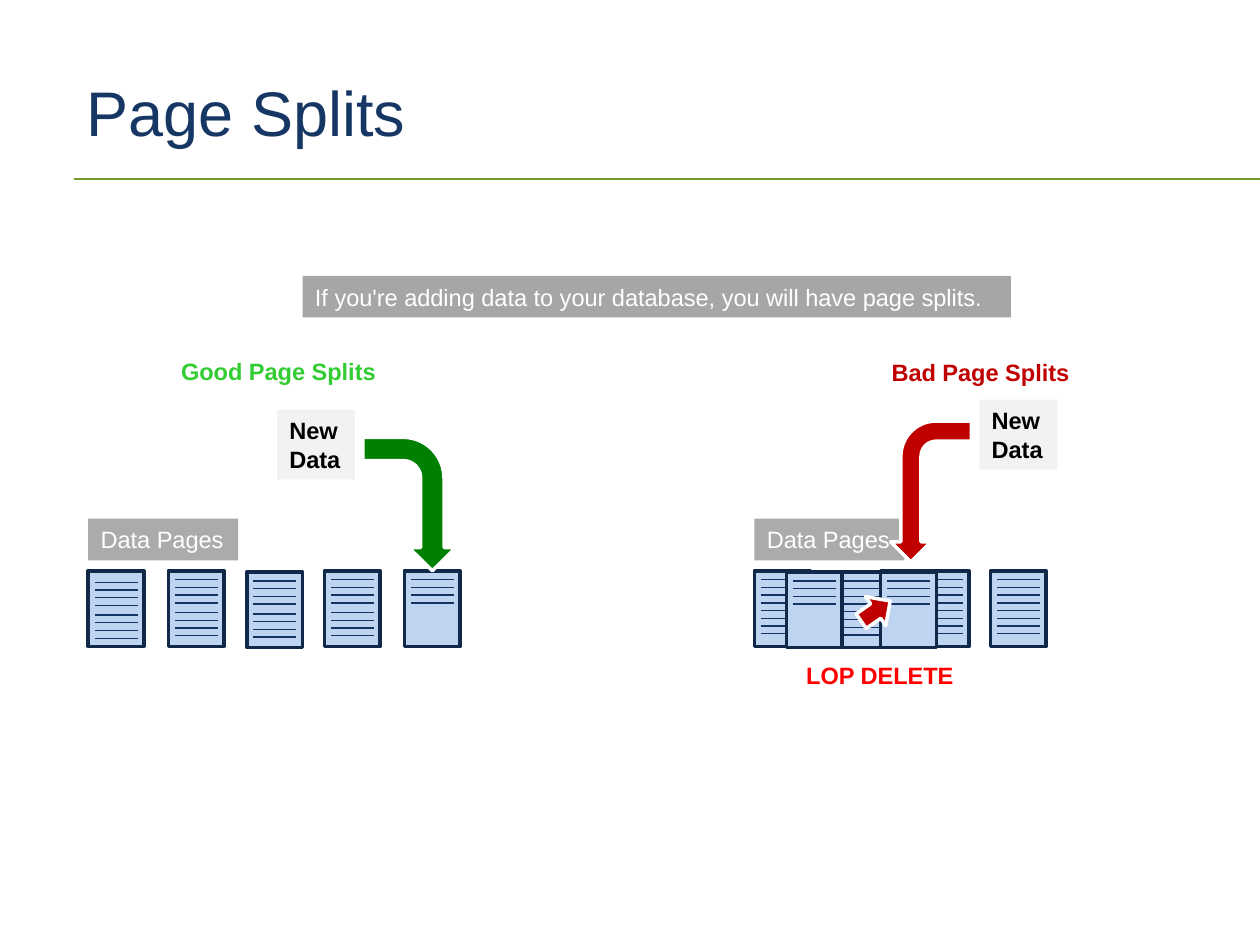
"""Build the Page Splits slide."""
from dataclasses import dataclass

from lxml import etree
from pptx import Presentation
from pptx import util as u
from pptx.dml.color import RGBColor
from pptx.enum import shapes, text
from pptx.oxml import ns


@dataclass
class Theme:
    """Colours, font and type sizes."""
    font: str = "Arial"
    head: float = 36
    body: float = 13.5
    title: str = "163764"
    rule: str = "75982F"
    white: str = "FFFFFF"
    black: str = "000000"
    pale: str = "F2F2F2"
    page: str = "BFD4F1"
    edge: str = "10294A"
    row: str = "143564"
    good: str = "33CC33"
    green: str = "008000"
    bad: str = "C00000"
    alert: str = "FF0000"


def write(frame, words, size, color, bold=False, wrap=False,
          fit=text.MSO_AUTO_SIZE.SHAPE_TO_FIT_TEXT):
    """Fill a text frame with left-aligned, formatted lines."""
    frame.text = words
    frame.word_wrap = wrap
    frame.auto_size = fit
    frame.vertical_anchor = text.MSO_ANCHOR.MIDDLE
    for para in frame.paragraphs:
        para.alignment = text.PP_ALIGN.LEFT
        para.font.name = Theme.font
        para.font.size = u.Pt(size)
        para.font.bold = bold
        para.font.color.rgb = RGBColor.from_string(color)


class Deck:
    """Hold the theme and the current slide."""

    def __init__(self, theme):
        """Open a blank slide with a title."""
        self.theme = theme
        self.prs = Presentation()
        self.prs.slide_width, self.prs.slide_height = u.Pt(720), u.Pt(540)
        self.slide = self.prs.slides.add_slide(self.prs.slide_layouts[5])
        self.shapes = self.slide.shapes

    def title(self, words, *box):
        """Place and format the title."""
        item = self.shapes.title
        item.left, item.top, item.width, item.height = map(u.Pt, box)
        write(item.text_frame, words, self.theme.head, self.theme.title,
              wrap=True, fit=text.MSO_AUTO_SIZE.NONE)

    def line(self, x, y, end, color, width, home=None):
        """Draw a level line."""
        item = (home or self.shapes).add_connector(
            shapes.MSO_CONNECTOR.STRAIGHT, *map(u.Pt, (x, y, end, y)))
        item.line.color.rgb = RGBColor.from_string(color)
        item.line.width = u.Pt(width)
        etree.SubElement(item.element.spPr, ns.qn("a:effectLst"))

    def shape(self, kind, box, fill, edge=None, alpha=None, home=None):
        """Draw a filled preset shape."""
        store = self.shapes if home is None else home
        item = store.add_shape(kind, *map(u.Pt, box))
        item.shadow.inherit = False
        item.fill.solid()
        item.fill.fore_color.rgb = RGBColor.from_string(fill)
        if alpha:
            tint = item.element.spPr.find(".//" + ns.qn("a:srgbClr"))
            etree.SubElement(tint, ns.qn("a:alpha"), val=str(alpha * 1000))
        if edge:
            item.line.color.rgb = RGBColor.from_string(edge)
            item.line.width = u.Pt(2)
        else:
            item.line.fill.background()
        return item

    def box(self, words, *box, fill, color, alpha=None, **style):
        """Draw a filled box with text."""
        item = self.shape(shapes.MSO_SHAPE.RECTANGLE, box, fill, alpha=alpha)
        write(item.text_frame, words, self.theme.body, color, **style)

    def label(self, words, *box, color):
        """Add a bold caption."""
        item = self.shapes.add_textbox(*map(u.Pt, box))
        write(item.text_frame, words, self.theme.body, color, bold=True)

    def arrow(self, kind, *box, fill, turn, flip=False, bends=()):
        """Draw a turned block arrow."""
        item = self.shape(kind, box, fill, self.theme.white)
        item.rotation = turn
        if flip:
            item.element.spPr.find(ns.qn("a:xfrm")).set("flipV", "1")
        for spot, bend in enumerate(bends):
            item.adjustments[spot] = bend

    def page(self, x, y, rows, first=5.1, gap=0):
        """Draw a data page, with a gap after every fourth row."""
        home = self.shapes.add_group_shape().shapes
        self.shape(shapes.MSO_SHAPE.RECTANGLE, (x, y, 31.8, 43.2),
                   self.theme.page, self.theme.edge, home=home)
        for row in range(rows):
            level = y + first + row * 4.4 + row // 4 * gap
            self.line(x + 3.6, level, x + 28.2, self.theme.row, 0.75, home)


def main():
    """Build and save the deck."""
    look = Theme()
    deck = Deck(look)
    kind = shapes.MSO_SHAPE
    deck.line(42.5, 102.2, 720, look.rule, 1)
    deck.title("Page Splits", 42.5, 27.4, 620.6, 72)
    deck.box("If you're adding data to your database, you will have page splits.",
             172.9, 157.6, 404.8, 23.8, fill=look.black, color=look.white, alpha=35)
    deck.label("Good Page Splits", 96.4, 200.3, 127.4, 23.8, color=look.good)
    deck.label("Bad Page Splits", 502.4, 200.9, 117.4, 23.8, color=look.bad)
    for x, y in ((158.3, 234), (559.6, 228.4)):
        deck.box("New\nData", x, y, 44.6, 40, fill=look.pale, color=look.black,
                 bold=True, wrap=True)
    for x in (50.4, 431.1):
        deck.box("Data Pages", x, 296.4, 85.7, 23.8, fill=look.black,
                 color=look.white, alpha=33)

    top, low = 326.2, 326.9
    deck.page(50.4, top, 8, first=6.5, gap=1.2)
    for x, y in ((96.2, top), (141.1, low), (185.5, top)):
        deck.page(x, y, 8, gap=1.2)
    deck.page(231.1, top, 4)
    deck.arrow(kind.BENT_ARROW, 195.8, 261.4, 76.3, 53.3, fill=look.green,
               turn=90, bends=(0.25, 0.254, 0.25, 0.438))

    deck.arrow(kind.BENT_ARROW, 491.8, 257.8, 80.6, 46.1, fill=look.bad,
               turn=90, flip=True)
    for x, y, rows in ((503.3, top, 0), (431.1, top, 8), (522, top, 8),
                       (566.1, top, 8), (478.8, low, 8), (503.3, low, 4),
                       (449.4, low, 4)):
        deck.page(x, y, rows)
    deck.arrow(kind.RIGHT_ARROW, 490.3, 339.1, 20.2, 20.2, fill=look.bad, turn=325.2)
    deck.label("LOP DELETE", 453.6, 373.7, 100.1, 23.8, color=look.alert)
    deck.prs.save("out.pptx")


if __name__ == "__main__":
    main()
